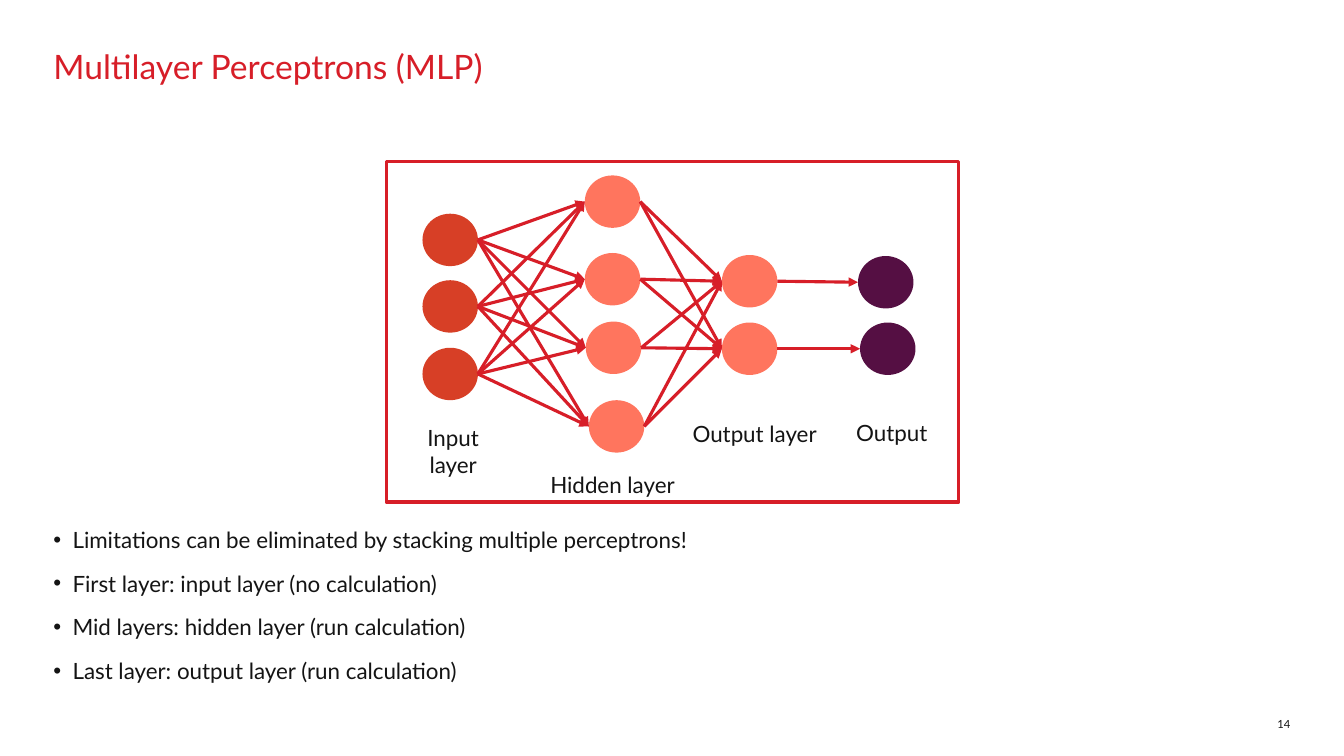
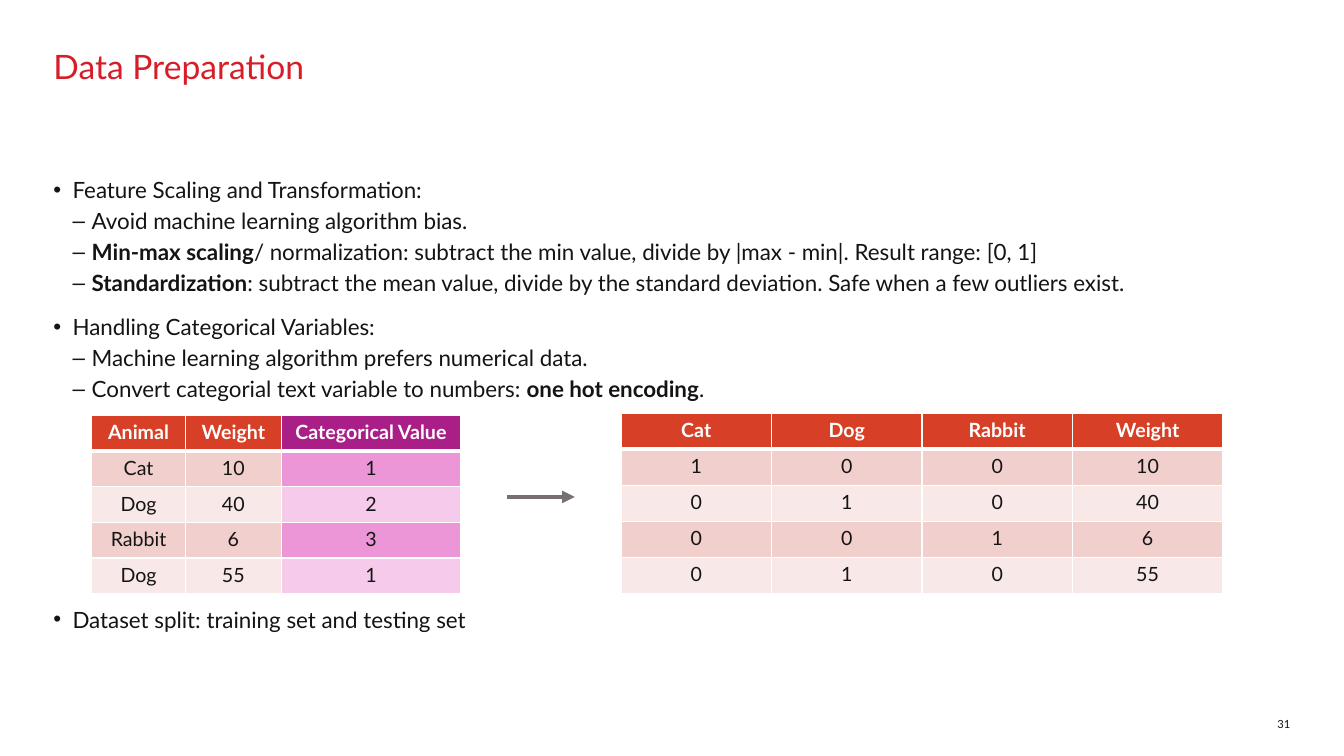
"""Builds two lecture slides on multilayer perceptrons and data preparation."""
from itertools import product

from lxml import etree
from pptx import Presentation
from pptx.dml.color import RGBColor
from pptx.enum.shapes import MSO_CONNECTOR as Connector, MSO_SHAPE as Shape
from pptx.enum.text import MSO_ANCHOR as Anchor, MSO_AUTO_SIZE as AutoSize, PP_ALIGN as Align
from pptx.oxml.ns import qn
from pptx.util import Emu, Pt

EMU_PER_PX = 9144
FONT = "Lato"
RED = RGBColor(0xD7, 0x1E, 0x28)
INK = RGBColor(0x14, 0x14, 0x14)
WHITE = RGBColor(0xFF, 0xFF, 0xFF)
GRAY = RGBColor(0x78, 0x70, 0x70)
BRICK = RGBColor(0xD7, 0x3F, 0x26)
CORAL = RGBColor(0xFF, 0x75, 0x5E)
PLUM = RGBColor(0x55, 0x0F, 0x43)
RED_BANDS = (BRICK, RGBColor(0xF0, 0xCF, 0xCD), RGBColor(0xF8, 0xE8, 0xE8))
PINK_BANDS = (RGBColor(0xAA, 0x1E, 0x87), RGBColor(0xEC, 0x96, 0xD7), RGBColor(0xF6, 0xCA, 0xEB))

MARGIN, CONTENT_WIDTH = 53, 1227
NEURON_WIDTH, NEURON_HEIGHT = 55, 52
BULLET_INDENT = 19
BULLETS = (("•", 12), ("–", 3))

INPUTS = [(419, 212), (419, 278), (419, 345)]
HIDDEN = [(580, 174), (580, 251), (581, 319), (584, 397)]
OUTPUT_LAYER = [(716, 253), (716, 320)]
OUTPUTS = [(851, 254), (853, 320)]
LAYER_LABELS = [
    ("Input layer", 398, 421, 103),
    ("Hidden layer", 542, 467, 131),
    ("Output layer", 683, 417, 131),
    ("Output", 819, 416, 131),
]
MLP_POINTS = [
    (0, "Limitations can be eliminated by stacking multiple perceptrons!"),
    (0, "First layer: input layer (no calculation)"),
    (0, "Mid layers: hidden layer (run calculation)"),
    (0, "Last layer: output layer (run calculation)"),
]
PREPARATION_POINTS = [
    (0, "Feature Scaling and Transformation:"),
    (1, "Avoid machine learning algorithm bias."),
    (1, "*Min-max scaling*/ normalization: subtract the min value, "
        "divide by |max - min|. Result range: [0, 1]"),
    (1, "*Standardization*: subtract the mean value, divide by the standard deviation. "
        "Safe when a few outliers exist."),
    (0, "Handling Categorical Variables:"),
    (1, "Machine learning algorithm prefers numerical data."),
    (1, "Convert categorial text variable to numbers: *one hot encoding*."),
]
SPLIT_POINTS = [(0, "Dataset split: training set and testing set")]
CATEGORICAL_ROWS = [
    ("Animal", "Weight", "Categorical Value"),
    ("Cat", "10", "1"),
    ("Dog", "40", "2"),
    ("Rabbit", "6", "3"),
    ("Dog", "55", "1"),
]
ONE_HOT_ROWS = [
    ("Cat", "Dog", "Rabbit", "Weight"),
    ("1", "0", "0", "10"),
    ("0", "1", "0", "40"),
    ("0", "0", "1", "6"),
    ("0", "1", "0", "55"),
]


def px(*lengths):
    """Turn px lengths into EMU."""
    return [Emu(length * EMU_PER_PX) for length in lengths]


def style_run(run, size, color=INK, bold=False):
    """Give a run its font, size, colour and weight."""
    run.font.name = FONT
    run.font.size = Pt(size)
    run.font.color.rgb = color
    run.font.bold = bold


def prepare_frame(frame, anchor=Anchor.TOP):
    """Make a text frame wrap without insets."""
    frame.word_wrap = True
    frame.auto_size = AutoSize.NONE
    frame.vertical_anchor = anchor
    frame.margin_left = frame.margin_top = frame.margin_right = frame.margin_bottom = 0


def add_text(shapes, text, box, size=16, align=Align.CENTER, anchor=Anchor.TOP):
    """Add a single-paragraph text box."""
    frame = shapes.add_textbox(*px(*box)).text_frame
    prepare_frame(frame, anchor)
    frame.text = text
    frame.paragraphs[0].alignment = align
    style_run(frame.paragraphs[0].runs[0], size)


def add_titled_slide(deck, title, number):
    """Add a slide with its title and page number."""
    slide = deck.slides.add_slide(deck.slide_layouts[5])
    heading = slide.shapes.title
    heading.left, heading.top, heading.width, heading.height = px(MARGIN, 50, CONTENT_WIDTH, 110)
    prepare_frame(heading.text_frame)
    heading.text_frame.text = title
    paragraph = heading.text_frame.paragraphs[0]
    paragraph.alignment = Align.LEFT
    paragraph.line_spacing = 0.9
    style_run(paragraph.runs[0], 24, RED)
    add_text(slide.shapes, number, (1227, 700, 53, 25), 8, Align.RIGHT, Anchor.BOTTOM)
    return slide


def add_bullets(slide, points, top, height):
    """Add a two-level list; asterisks enclose bold words."""
    frame = slide.shapes.add_textbox(*px(MARGIN, top, CONTENT_WIDTH, height)).text_frame
    prepare_frame(frame)
    for index, (level, text) in enumerate(points):
        paragraph = frame.add_paragraph() if index else frame.paragraphs[0]
        mark, space = BULLETS[level]
        paragraph.level = level
        paragraph.space_before = Pt(space if index else 0)
        properties = paragraph._p.get_or_add_pPr()
        indent, = px(BULLET_INDENT)
        properties.set("marL", str(indent * (level + 1)))
        properties.set("indent", str(-indent))
        etree.SubElement(properties, qn("a:buFont"), typeface="Arial")
        etree.SubElement(properties, qn("a:buChar"), char=mark)
        for part_index, part in enumerate(text.split("*")):
            if part:
                run = paragraph.add_run()
                run.text = part
                style_run(run, 16, bold=part_index % 2 == 1)


def add_arrow(shapes, start, end, color=RED, width=2.25):
    """Add a straight line with a triangular head."""
    arrow = shapes.add_connector(Connector.STRAIGHT, *px(*start, *end))
    arrow.line.color.rgb = color
    arrow.line.width = Pt(width)
    etree.SubElement(arrow.line._get_or_add_ln(), qn("a:tailEnd"), type="triangle")
    etree.SubElement(arrow._element.spPr, qn("a:effectLst"))


def add_neurons(shapes, corners, color):
    """Add the circles of one layer."""
    for left, top in corners:
        neuron = shapes.add_shape(Shape.OVAL, *px(left, top, NEURON_WIDTH, NEURON_HEIGHT))
        neuron.shadow.inherit = False
        neuron.fill.solid()
        neuron.fill.fore_color.rgb = color
        neuron.line.fill.background()


def connect_neurons(shapes, pairs):
    """Draw an arrow from the right of each source to the left of its target."""
    middle = NEURON_HEIGHT // 2
    for (left, top), (target_left, target_top) in pairs:
        add_arrow(shapes, (left + NEURON_WIDTH, top + middle), (target_left, target_top + middle))


def add_network(slide):
    """Draw the framed perceptron network as a group."""
    shapes = slide.shapes.add_group_shape().shapes
    layers = ((INPUTS, BRICK), (HIDDEN, CORAL), (OUTPUT_LAYER, CORAL), (OUTPUTS, PLUM))
    for corners, color in layers:
        add_neurons(shapes, corners, color)
    connect_neurons(shapes, product(INPUTS, HIDDEN))
    connect_neurons(shapes, product(HIDDEN, OUTPUT_LAYER))
    connect_neurons(shapes, zip(OUTPUT_LAYER, OUTPUTS))
    for label, left, top, width in LAYER_LABELS:
        add_text(shapes, label, (left, top, width, 31))
    frame = shapes.add_shape(Shape.RECTANGLE, *px(383, 160, 568, 338))
    frame.shadow.inherit = False
    frame.fill.background()
    frame.line.color.rgb = RED
    frame.line.width = Pt(2.25)


def set_borders(cell, row):
    """Give a cell white borders, thick below the header."""
    widths = {"L": 1, "R": 1, "T": 3 if row == 1 else 1, "B": 3 if row == 0 else 1}
    for side, width in widths.items():
        border = etree.SubElement(cell._tc.get_or_add_tcPr(), qn(f"a:ln{side}"), w=str(Pt(width)))
        fill = etree.SubElement(border, qn("a:solidFill"))
        etree.SubElement(fill, qn("a:srgbClr"), val=str(WHITE))


def add_data_table(slide, rows, box, column_bands, column_widths=()):
    """Add a centred table whose columns each have header and band colours."""
    table = slide.shapes.add_table(len(rows), len(rows[0]), *px(*box)).table
    for column, width in zip(table.columns, px(*column_widths)):
        column.width = width
    for row, values in enumerate(rows):
        for column, (value, bands) in enumerate(zip(values, column_bands)):
            cell = table.cell(row, column)
            set_borders(cell, row)
            cell.fill.solid()
            cell.fill.fore_color.rgb = bands[2 - row % 2 if row else 0]
            cell.text_frame.text = value
            paragraph = cell.text_frame.paragraphs[0]
            paragraph.alignment = Align.CENTER
            style_run(paragraph.runs[0], 14, INK if row else WHITE, row == 0)


def add_perceptron_slide(deck):
    """Build the slide on multilayer perceptrons."""
    slide = add_titled_slide(deck, "Multilayer Perceptrons (MLP)", "14")
    add_bullets(slide, MLP_POINTS, 522, 153)
    add_network(slide)


def add_preparation_slide(deck):
    """Build the slide on data preparation."""
    slide = add_titled_slide(deck, "Data Preparation", "31")
    add_bullets(slide, PREPARATION_POINTS, 175, 230)
    add_bullets(slide, SPLIT_POINTS, 601, 74)
    add_data_table(slide, CATEGORICAL_ROWS, (91, 412, 366, 177),
                   (RED_BANDS, RED_BANDS, PINK_BANDS), (93, 95, 178))
    add_data_table(slide, ONE_HOT_ROWS, (616, 410, 597, 179), (RED_BANDS,) * 4)
    add_arrow(slide.shapes, (503, 493), (570, 493), GRAY, 3)


def main():
    """Build and save the deck."""
    deck = Presentation()
    deck.slide_width, deck.slide_height = px(1333, 750)
    add_perceptron_slide(deck)
    add_preparation_slide(deck)
    deck.save("out.pptx")


if __name__ == "__main__":
    main()
